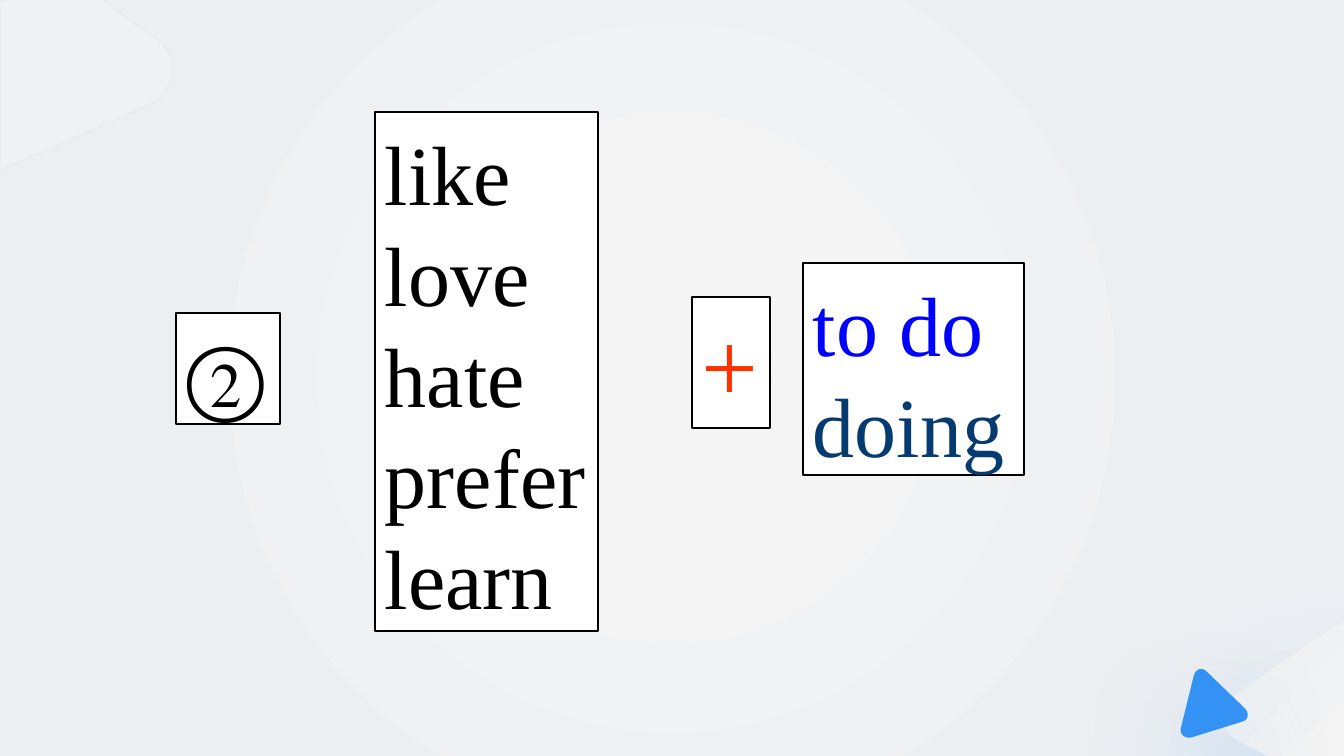
from dataclasses import dataclass
from lxml.etree import SubElement
from pptx import Presentation
from pptx.dml.color import RGBColor
from pptx.enum.shapes import MSO_SHAPE as Preset
from pptx.enum.text import MSO_ANCHOR as Anchor, PP_ALIGN as Align
from pptx.oxml.ns import qn
from pptx.util import Pt

SCALE = 914400 / 100.8
CURVE_STEPS = 12


@dataclass(frozen=True)
class Theme:
    """Colours, font and type sizes of the slide."""
    font: str = "Times New Roman"
    word_size: int = 60
    plus_size: int = 72
    line_ratio: float = 1.2
    ink: str = "000000"
    paper: str = "FFFFFF"
    plus: str = "FF3300"
    infinitive: str = "0000FF"
    gerund: str = "063B71"
    centre: str = "F4F4F5"
    edge: str = "ECEFF2"
    leaf_line: str = "D0CECE"
    accent: str = "3392F4"
    accent_shadow: str = "0C77E2"


THEME = Theme()


def emu(px):
    """Turn px into EMU."""
    return round(px * SCALE)


def add_colour(parent, colour, alpha=100):
    """Append a colour with an opacity in percent."""
    node = SubElement(parent, qn("a:srgbClr"), val=colour)
    if alpha < 100:
        SubElement(node, qn("a:alpha"), val=str(alpha * 1000))


def fill_solid(shape, colour, alpha=100):
    """Fill a shape with one colour."""
    shape.fill.solid()
    shape.fill.fore_color.rgb = RGBColor.from_string(colour)
    if alpha < 100:
        colour_node = shape.fill._xPr.find(qn("a:solidFill"))[0]
        SubElement(colour_node, qn("a:alpha"), val=str(alpha * 1000))


def fill_gradient(shape, stops, angle=None):
    """Fill a shape with a linear gradient, or a circular one without angle."""
    shape.fill.gradient()
    gradient = shape.fill._xPr.find(qn("a:gradFill"))
    for child in list(gradient):
        gradient.remove(child)
    stop_list = SubElement(gradient, qn("a:gsLst"))
    for position, colour in stops:
        add_colour(SubElement(stop_list, qn("a:gs"), pos=str(position * 1000)), colour)
    if angle is None:
        circle = SubElement(gradient, qn("a:path"), {"path": "circle"})
        SubElement(circle, qn("a:fillToRect"), dict.fromkeys("ltrb", "50000"))
    else:
        SubElement(gradient, qn("a:lin"), ang=str(angle * 60000), scaled="0")


def add_shadow(shape, colour):
    """Give a shape a soft shadow straight below it."""
    effects = shape._element.spPr.find(qn("a:effectLst"))
    shadow = SubElement(effects, qn("a:outerShdw"), blurRad=str(Pt(84)),
                        dist=str(Pt(34)), dir="5400000", rotWithShape="0")
    add_colour(shadow, colour, 20)


def curve_points(start, curve):
    """Return points along a cubic curve."""
    ends = [start, curve[:2], curve[2:4], curve[4:]]
    points = []
    for step in range(1, CURVE_STEPS + 1):
        t = step / CURVE_STEPS
        weights = ((1 - t) ** 3, 3 * t * (1 - t) ** 2, 3 * t * t * (1 - t), t ** 3)
        points.append(tuple(sum(w * end[axis] for w, end in zip(weights, ends))
                            for axis in (0, 1)))
    return points


def add_outline(page, start, steps):
    """Add a closed outline; a step is a point or a curve of three points."""
    points = [start]
    for step in steps:
        points += [step] if len(step) == 2 else curve_points(points[-1], step)
    builder = page.shapes.build_freeform(emu(start[0]), emu(start[1]))
    builder.add_line_segments([(emu(x), emu(y)) for x, y in points[1:]], close=True)
    shape = builder.convert_to_shape()
    shape.shadow.inherit = False
    shape.line.fill.background()
    return shape


def add_rectangle(page, left, top, width, height):
    """Add a plain rectangle."""
    shape = page.shapes.add_shape(Preset.RECTANGLE, *map(emu, (left, top, width, height)))
    shape.shadow.inherit = False
    shape.line.fill.background()
    return shape


def add_word_box(page, place, words, size, top_inset):
    """Add a framed box with one coloured word a line."""
    box = add_rectangle(page, *place)
    fill_solid(box, THEME.paper)
    box.line.color.rgb = RGBColor.from_string(THEME.ink)
    box.line.width = Pt(1)
    frame = box.text_frame
    frame.word_wrap = False
    frame.vertical_anchor = Anchor.TOP
    frame.margin_left = frame.margin_right = emu(10)
    frame.margin_top, frame.margin_bottom = emu(top_inset), 0
    frame.text = "\n".join(word for word, colour in words)
    for para, (word, colour) in zip(frame.paragraphs, words):
        para.alignment = Align.LEFT
        para.line_spacing = Pt(size * THEME.line_ratio)
        para.font.name = THEME.font
        for span in para.runs:
            span.font.name = THEME.font
            span.font.size = Pt(size)
            span.font.color.rgb = RGBColor.from_string(colour)


def add_backdrop(page):
    """Draw the glowing backdrop and its three corner ornaments."""
    glow = add_rectangle(page, 0, 0, 1344, 756)
    fill_gradient(glow, [(0, THEME.centre), (23, THEME.centre),
                         (69, THEME.edge), (100, THEME.edge)])

    leaf = add_outline(page, (0, 0), [
        (103, 0), (119, 12), (131, 21, 143, 30, 157, 39),
        (180, 57, 176, 93, 149, 105), (19, 162), (0, 170)])
    fill_solid(leaf, THEME.paper, 20)
    leaf.line.color.rgb = RGBColor.from_string(THEME.leaf_line)
    leaf.line.width = Pt(0.75)
    line_colour = leaf.line.fill._xPr.find(qn("a:solidFill"))[0]
    SubElement(line_colour, qn("a:alpha"), val="20000")

    corner = add_outline(page, (1344, 621), [
        (1344, 756), (1268, 756), (1239, 741),
        (1220, 732, 1218, 706, 1236, 694), (1322, 635)])
    fill_gradient(corner, [(12, THEME.edge), (100, THEME.centre)], 45)
    add_shadow(corner, THEME.accent)

    triangle = add_outline(page, (1198, 673), [
        (1177, 724), (1175, 729, 1180, 735, 1187, 734), (1239, 726),
        (1245, 725, 1247, 720, 1244, 714), (1211, 671),
        (1207, 666, 1201, 667, 1198, 673)])
    triangle.rotation = -8.5
    fill_solid(triangle, THEME.accent)
    add_shadow(triangle, THEME.accent_shadow)


def main():
    """Build the slide and save it."""
    deck = Presentation()
    deck.slide_width, deck.slide_height = emu(1344), emu(756)
    page = deck.slides.add_slide(deck.slide_layouts[6])
    add_backdrop(page)
    verbs = [(verb, THEME.ink) for verb in ("like", "love", "hate", "prefer", "learn")]
    forms = [("to do", THEME.infinitive), ("doing", THEME.gerund)]
    add_word_box(page, (176, 313, 104, 111), [("②", THEME.ink)], THEME.word_size, 10)
    add_word_box(page, (375, 112, 223, 519), verbs, THEME.word_size, 10)
    add_word_box(page, (692, 297, 78, 131), [("+", THEME.plus)], THEME.plus_size, 5)
    add_word_box(page, (803, 263, 221, 212), forms, THEME.word_size, 10)
    deck.save("out.pptx")


if __name__ == "__main__":
    main()
